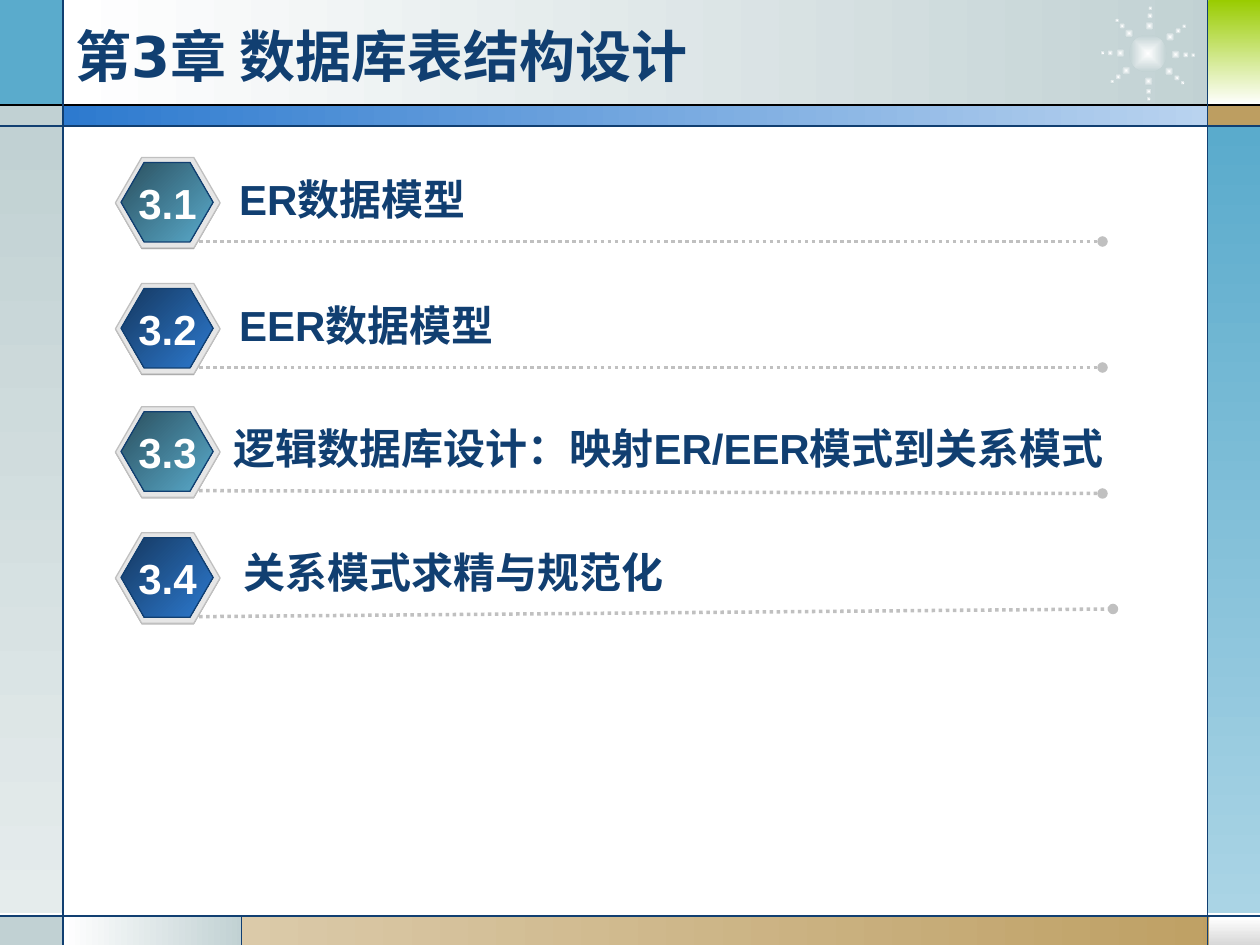
import math
from dataclasses import dataclass
from typing import Any, Optional

import pptx
import pptx.dml.color
import pptx.enum.dml
import pptx.enum.shapes
import pptx.enum.text
import pptx.oxml.ns
import pptx.util
from lxml import etree

Pt = pptx.util.Pt
qn = pptx.oxml.ns.qn
Preset = pptx.enum.shapes.MSO_SHAPE
Align = pptx.enum.text.PP_ALIGN
AutoSize = pptx.enum.text.MSO_AUTO_SIZE


@dataclass(frozen=True)
class Theme:
    navy: str = "113F71"
    black: str = "000000"
    white: str = "FFFFFF"
    mist: str = "C1D1D3"
    pale_mist: str = "E5ECEC"
    sky: str = "5AABCC"
    pale_sky: str = "AAD4E5"
    deep_teal: str = "2A4F5E"
    blue: str = "2D7ACF"
    pale_blue: str = "B9D3EF"
    deep_blue: str = "153860"
    tan: str = "BD9E61"
    pale_tan: str = "DBCAA9"
    lime: str = "99CC00"
    light_gray: str = "D8D8D8"
    rim: str = "E6E6E6"
    silver: str = "C0C0C0"
    shade: str = "808080"
    title_font: str = "DejaVu Sans"
    body_font: str = "Arial"
    title_size: float = 32
    body_size: float = 24
    hairline: float = 0.75
    dotted: float = 2


THEME = Theme()


@dataclass(frozen=True)
class Paint:
    start: str
    end: Optional[str] = None
    angle: float = 0
    centered: bool = False


@dataclass(frozen=True)
class Box:
    left: float
    top: float
    width: float
    height: float


@dataclass(frozen=True)
class Band:
    box: Box
    paint: Paint


@dataclass(frozen=True)
class Line:
    x1: float
    y1: float
    x2: float
    y2: float
    color: str = THEME.navy


@dataclass(frozen=True)
class Section:
    number: str
    name: str
    top: float
    name_box: Box
    paint: Paint
    rule_end: tuple[float, float]


DOWN = 270
DIAGONAL = 315
GLOW = Paint(THEME.white, THEME.mist, centered=True)
TEAL = Paint(THEME.deep_teal, THEME.sky, DIAGONAL)
BLUE = Paint(THEME.deep_blue, THEME.blue, DIAGONAL)

BANDS = [
    Band(Box(36, 0, 667.4, 60.5), Paint(THEME.white, THEME.mist)),
    Band(Box(0, 0, 36, 60.5), Paint(THEME.sky)),
    Band(Box(0, 60, 36, 12), Paint(THEME.mist)),
    Band(Box(0, 72, 36, 450), Paint(THEME.mist, THEME.pale_mist, DOWN)),
    Band(Box(0, 524, 36, 16), Paint(THEME.mist)),
    Band(Box(36, 523.4, 103, 16.6), Paint(THEME.white, THEME.mist)),
    Band(Box(138.2, 523.4, 581.8, 16.6), Paint(THEME.pale_tan, THEME.tan)),
    Band(Box(691, 524, 29, 16), Paint(THEME.white, THEME.light_gray, DOWN)),
    Band(Box(690, 72, 30, 450), Paint(THEME.sky, THEME.pale_sky, DOWN)),
    Band(Box(690, 60, 30, 12), Paint(THEME.tan)),
    Band(Box(690.5, 0, 29.5, 60), Paint(THEME.lime, THEME.white, DOWN)),
    Band(Box(36, 60, 654.5, 12), Paint(THEME.blue, THEME.pale_blue)),
]

FRAME_LINES = [
    Line(0, 60, 720, 60, THEME.black),
    Line(0, 72, 720, 72),
    Line(0, 523.4, 720, 523.4),
    Line(36, 0, 36, 540),
    Line(690, 0, 690, 540),
    Line(138.2, 523.4, 138.2, 540),
]

SECTIONS = [
    Section("3.1", "ER数据模型", 90, Box(129.6, 95.8, 151, 36), TEAL, (630, 138)),
    Section("3.2", "EER数据模型", 162, Box(129.6, 167.8, 166, 36), BLUE, (630, 210)),
    Section("3.3", "逻辑数据库设计：映射ER/EER模式到关系模式", 232.4,
            Box(126.4, 238, 524, 36), TEAL, (630, 282)),
    Section("3.4", "关系模式求精与规范化", 304.4, Box(132.2, 309, 254.4, 36), BLUE, (636, 348)),
]

STAR_CENTER = (656, 30.6)
RAY_ANGLES = [2, 40, 89, 142, 181, 227, 273, 323]
RAY_DOTS = [(15.8, 5.2), (21.6, 3.6), (25.9, 2.6)]


def rgb(color: str) -> pptx.dml.color.RGBColor:
    return pptx.dml.color.RGBColor.from_string(color)


def apply_paint(shape: Any, paint: Paint) -> None:
    if paint.end is None:
        shape.fill.solid()
        shape.fill.fore_color.rgb = rgb(paint.start)
        return
    shape.fill.gradient()
    shape.fill.gradient_angle = paint.angle
    for stop, color in zip(shape.fill.gradient_stops, (paint.start, paint.end)):
        stop.color.rgb = rgb(color)
    if paint.centered:
        gradient = shape._element.spPr.find(qn("a:gradFill"))
        gradient.remove(gradient.find(qn("a:lin")))
        center = etree.SubElement(gradient, qn("a:path"), {"path": "rect"})
        etree.SubElement(center, qn("a:fillToRect"), {side: "50000" for side in "ltrb"})


def add_figure(shapes: Any, preset: Any, box: Box, paint: Paint, outline: Optional[str] = None) -> Any:
    shape = shapes.add_shape(preset, Pt(box.left), Pt(box.top), Pt(box.width), Pt(box.height))
    shape.shadow.inherit = False
    apply_paint(shape, paint)
    if outline is None:
        shape.line.fill.background()
    else:
        shape.line.color.rgb = rgb(outline)
        shape.line.width = Pt(THEME.hairline)
    return shape


def add_line(shapes: Any, line: Line, dotted: bool = False) -> None:
    connector = shapes.add_connector(pptx.enum.shapes.MSO_CONNECTOR.STRAIGHT,
                                     Pt(line.x1), Pt(line.y1), Pt(line.x2), Pt(line.y2))
    connector.line.color.rgb = rgb(line.color)
    connector.line.width = Pt(THEME.dotted if dotted else THEME.hairline)
    properties = connector._element.spPr
    if dotted:
        connector.line.dash_style = pptx.enum.dml.MSO_LINE.ROUND_DOT
        etree.SubElement(properties.find(qn("a:ln")), qn("a:tailEnd"), {"type": "oval"})
    etree.SubElement(properties, qn("a:effectLst"))


def write_text(shape: Any, text: str, font: str, size: float, color: str, align: Any = Align.LEFT) -> None:
    shape.text_frame.text = text
    paragraph = shape.text_frame.paragraphs[0]
    paragraph.alignment = align
    for run in paragraph.runs:
        run.font.name = font
        run.font.size = Pt(size)
        run.font.bold = True
        run.font.color.rgb = rgb(color)


def add_label(shapes: Any, box: Box, text: str, color: str, align: Any = Align.LEFT) -> None:
    shape = shapes.add_textbox(Pt(box.left), Pt(box.top), Pt(box.width), Pt(box.height))
    write_text(shape, text, THEME.body_font, THEME.body_size, color, align)
    shape.text_frame.word_wrap = False
    shape.text_frame.auto_size = AutoSize.SHAPE_TO_FIT_TEXT


def add_star(slide: Any) -> None:
    shapes = slide.shapes.add_group_shape().shapes
    x, y = STAR_CENTER
    dots = [(x, y, 21.6)]
    for angle in map(math.radians, RAY_ANGLES):
        dots += [(x + reach * math.cos(angle), y + reach * math.sin(angle), size)
                 for reach, size in RAY_DOTS]
    for x, y, size in dots:
        add_figure(shapes, Preset.OVAL, Box(x - size / 2, y - size / 2, size, size), GLOW)


def add_section(slide: Any, section: Section) -> None:
    badge = slide.shapes.add_group_shape().shapes
    top = section.top
    for box, paint, outline in [
        (Box(66, top + 0.6, 59.8, 51.8), Paint(THEME.shade), None),
        (Box(66, top, 59.8, 51.8), Paint(THEME.rim), THEME.silver),
        (Box(69.2, top + 2.9, 52.6, 45.4), section.paint, THEME.navy),
    ]:
        add_figure(badge, Preset.HEXAGON, box, paint, outline).adjustments[0] = 0.29
    add_line(slide.shapes, Line(113.8, top + 48, *section.rule_end, THEME.silver), dotted=True)
    add_label(slide.shapes, section.name_box, section.name, THEME.navy)
    add_label(slide.shapes, Box(72, top + 7.8, 47.5, 36), section.number, THEME.white, Align.CENTER)


def place_title(slide: Any, text: str) -> None:
    title = slide.shapes.title
    title.left, title.top, title.width, title.height = Pt(36), Pt(9.4), Pt(642), Pt(44.6)
    write_text(title, text, THEME.title_font, THEME.title_size, THEME.navy)
    title.text_frame.vertical_anchor = pptx.enum.text.MSO_ANCHOR.MIDDLE
    title.text_frame.auto_size = AutoSize.NONE
    slide.shapes._spTree.append(title._element)


def main() -> None:
    presentation = pptx.Presentation()
    presentation.slide_width, presentation.slide_height = Pt(720), Pt(540)
    slide = presentation.slides.add_slide(presentation.slide_layouts[5])
    for band in BANDS:
        add_figure(slide.shapes, Preset.RECTANGLE, band.box, band.paint)
    add_star(slide)
    for line in FRAME_LINES:
        add_line(slide.shapes, line)
    place_title(slide, "第3章 数据库表结构设计")
    for section in SECTIONS:
        add_section(slide, section)
    presentation.save("out.pptx")


if __name__ == "__main__":
    main()
